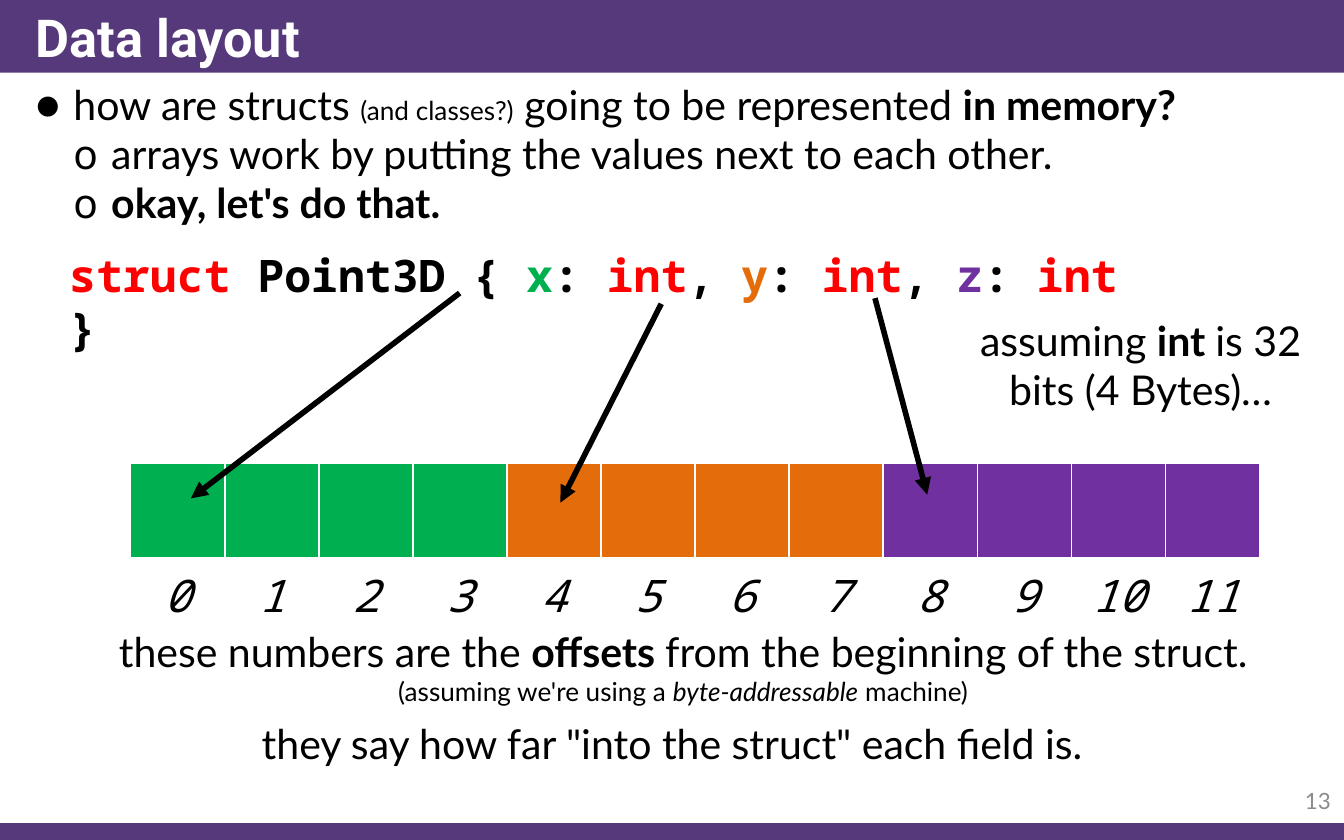
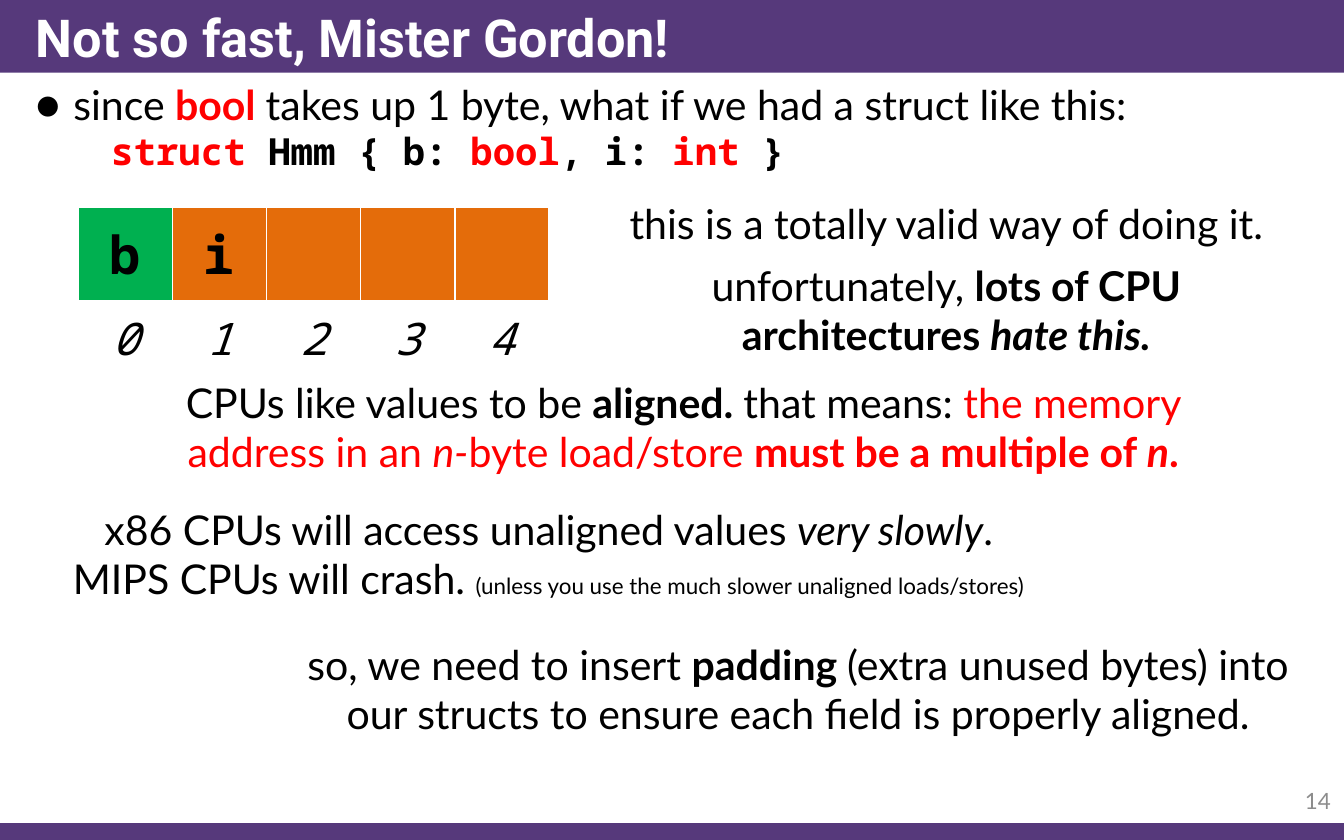
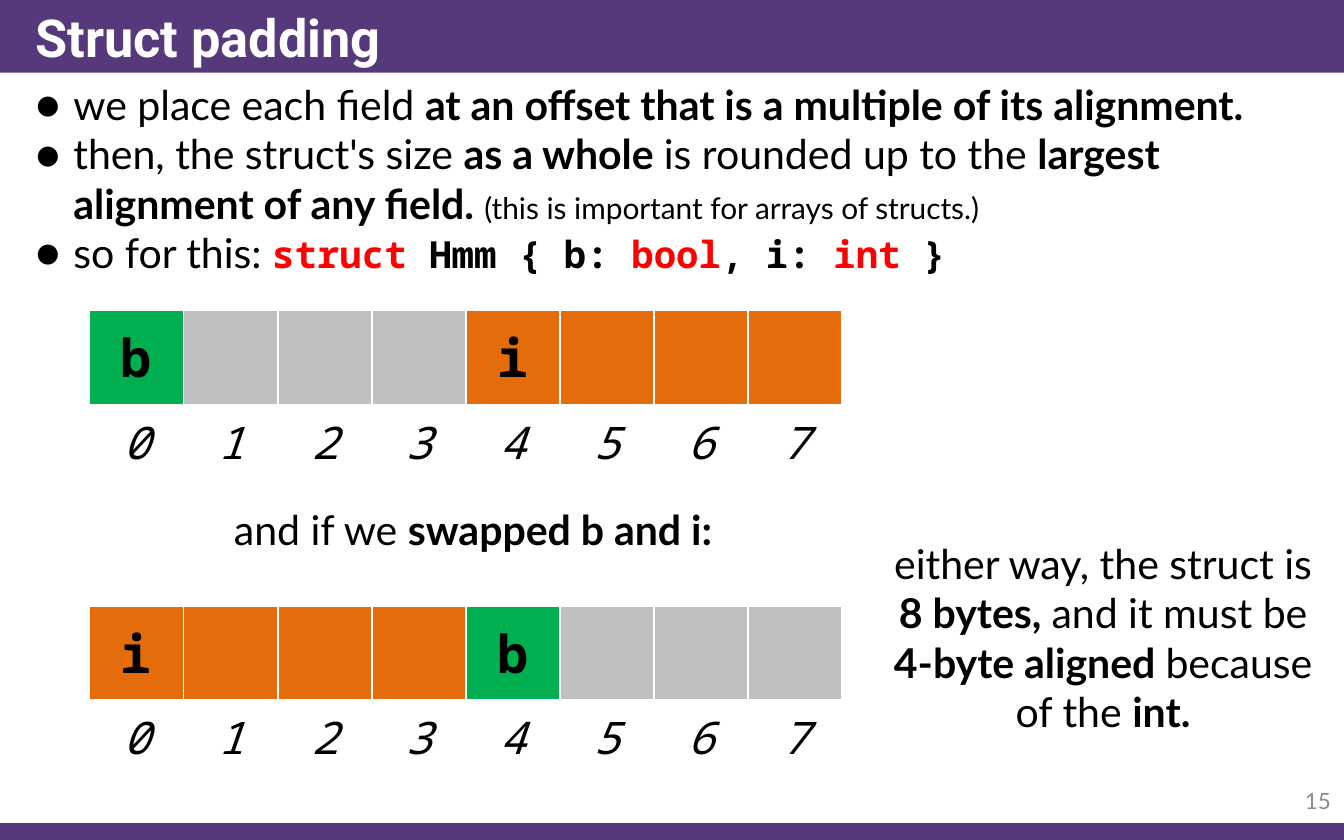
from dataclasses import dataclass

from lxml import etree
from pptx import Presentation
from pptx import util as u
from pptx.dml import color as dml
from pptx.enum import shapes, text
from pptx.oxml import ns


@dataclass(frozen=True)
class Theme:
    band: str = "56397B"
    black: str = "000000"
    white: str = "FFFFFF"
    red: str = "FF0000"
    green: str = "00B050"
    orange: str = "E46C0A"
    purple: str = "7030A0"
    padding: str = "BFBFBF"
    page_number: str = "8C8C8C"
    body_font: str = "Lato"
    code_font: str = "Noto Sans Mono"
    title_font: str = "Roboto"
    title_size: int = 28
    body_size: int = 22
    code_size: int = 20
    large_code_size: int = 24
    aside_size: int = 14
    number_size: int = 12


THEME = Theme()
WIDTH, HEIGHT = 720, 450
TITLE_BAND, FOOT_BAND = 39, 9
BYTE_SIZE, OFFSET_HEIGHT = 50.4, 36
INDENT = 20.25

# Span formats
BOLD = dict(bold=True)
ITALIC = dict(italic=True)
BOLD_ITALIC = dict(bold=True, italic=True)
RED = dict(color=THEME.red)
ASIDE = dict(size=THEME.aside_size)
CODE = dict(font=THEME.code_font, size=THEME.code_size, bold=True)
KEYWORD = dict(CODE, color=THEME.red)
LARGE_CODE = dict(CODE, size=THEME.large_code_size)
LARGE_KEYWORD = dict(LARGE_CODE, color=THEME.red)


def field(name, color):
    return [(name, dict(LARGE_CODE, color=color)), (": ", LARGE_CODE), ("int", LARGE_KEYWORD)]


HMM_STRUCT = [
    ("struct", KEYWORD), (" Hmm { b: ", CODE), ("bool", KEYWORD),
    (", i: ", CODE), ("int", KEYWORD), (" }", CODE),
]
POINT_STRUCT = [
    ("struct", LARGE_KEYWORD), (" Point3D { ", LARGE_CODE),
    *field("x", THEME.green), (", ", LARGE_CODE),
    *field("y", THEME.orange), (", ", LARGE_CODE),
    *field("z", THEME.purple), (" }", LARGE_CODE),
]

# Body paragraphs are (kind, spans); notes are (left, top, width, height, align, spans);
# byte strips are (left, top, fields), each field being (label, colour, byte count)
SLIDES = [
    dict(
        number=13, title="Data layout", body_height=94,
        body=[
            ("bullet", ["how are structs ", ("(and classes?)", ASIDE),
                        " going to be represented ", ("in memory?", BOLD)]),
            ("sub", ["arrays work by putting the values next to each other."]),
            ("sub", [("okay, let's do that.", BOLD)]),
        ],
        strips=[(70, 248.4, [("", THEME.green, 4), ("", THEME.orange, 4), ("", THEME.purple, 4)])],
        notes=[
            (30, 129, 588, 36, "left", POINT_STRUCT),
            (517.5, 165.5, 187, 60.5, "center",
             ["assuming ", ("int ", BOLD), "is 32 bits (4 Bytes)…"]),
            (48, 332, 636, 51, "center",
             ["these numbers are the ", ("offsets ", BOLD), "from the beginning of the struct. ",
              ("(assuming we're using a ", ASIDE), ("byte-addressable", dict(ASIDE, italic=True)),
              (" machine)", ASIDE)]),
            (42, 381.5, 636, 34, "center", ["they say how far \"into the struct\" each field is."]),
        ],
        arrows=[(246.25, 157, 102.25, 267), (354.25, 162.75, 300.25, 269.25),
                (468.75, 159.75, 496.75, 265)],
    ),
    dict(
        number=14, title="Not so fast, Mister Gordon!", body_height=72,
        body=[
            ("bullet", ["since ", ("bool ", dict(BOLD, **RED)),
                        "takes up 1 byte, what if we had a struct like this:"]),
            ("code", HMM_STRUCT),
        ],
        strips=[(42, 111, [("b", THEME.green, 1), ("i", THEME.orange, 4)])],
        notes=[
            (309, 103, 396, 34, "center", ["this is a totally valid way of doing it."]),
            (360, 136, 294, 60.5, "center",
             ["unfortunately, ", ("lots of CPU architectures ", BOLD), ("hate this.", BOLD_ITALIC)]),
            (74, 198.75, 584, 60.5, "center",
             ["CPUs like values to be ", ("aligned. ", BOLD), "that means: ",
              ("the memory address in an ", RED), ("n-", dict(ITALIC, **RED)),
              ("byte load/store ", RED), ("must be a multiple of ", dict(BOLD, **RED)),
              ("n", dict(BOLD_ITALIC, **RED)), (".", dict(BOLD, **RED))]),
            (24, 266.5, 540, 60.5, "center",
             ["x86 CPUs will access unaligned values ", ("very slowly", ITALIC),
              ". MIPS CPUs will crash. ",
              ("(unless you use the much slower unaligned loads/stores)", dict(size=12))]),
            (150, 339, 555, 60.5, "center",
             ["so, we need to insert ", ("padding ", BOLD),
              "(extra unused bytes) into our structs to ensure each field is properly aligned."]),
        ],
        arrows=[],
    ),
    dict(
        number=15, title="Struct padding", body_height=126,
        body=[
            ("bullet", ["we place each field ",
                        ("at an offset that is a multiple of its alignment.", BOLD)]),
            ("bullet", ["then, the struct's size ", ("as a whole ", BOLD),
                        "is rounded up to the ", ("largest alignment of any field. ", BOLD),
                        ("(this is important for arrays of structs.)", dict(size=16))]),
            ("bullet", ["so for this: ", *HMM_STRUCT]),
        ],
        strips=[
            (48, 166.25, [("b", THEME.green, 1), ("", THEME.padding, 3), ("i", THEME.orange, 4)]),
            (48, 324.75, [("i", THEME.orange, 4), ("b", THEME.green, 1), ("", THEME.padding, 3)]),
        ],
        notes=[
            (55.5, 266.5, 396, 34, "center", ["and if we ", ("swapped b and i:", BOLD)]),
            (468, 285, 246, 114, "center",
             ["either way, the struct is ", ("8 bytes, ", BOLD), "and it must be ",
              ("4-byte aligned ", BOLD), "because of the ", ("int.", BOLD)]),
        ],
        arrows=[],
    ),
]

# Paragraph kinds: left margin, first-line indent, bullet font, bullet
KINDS = {
    "bullet": (INDENT, -INDENT, THEME.body_font, "●"),
    "sub": (2 * INDENT, -INDENT, THEME.code_font, "o"),
    "code": (2 * INDENT, 0, None, None),
}
ALIGN = {"left": text.PP_ALIGN.LEFT, "center": text.PP_ALIGN.CENTER, "right": text.PP_ALIGN.RIGHT}


def points(*lengths):
    return [u.Pt(length) for length in lengths]


def rgb(color):
    return dml.RGBColor.from_string(color)


def add_element(parent, tag, **attributes):
    return etree.SubElement(parent, ns.qn(tag), attributes)


def add_span(para, words, font=THEME.body_font, size=THEME.body_size, color=THEME.black,
             bold=False, italic=False):
    span = para.add_run()
    span.text = words
    span.font.name, span.font.size = font, u.Pt(size)
    span.font.bold, span.font.italic = bold, italic
    span.font.color.rgb = rgb(color)


def fill_paragraph(para, spans, align="left"):
    para.alignment = ALIGN[align]
    for span in spans:
        words, style = (span, {}) if isinstance(span, str) else span
        add_span(para, words, **style)


def add_box(page, left, top, width, height, middle=False, grow=False):
    frame = page.shapes.add_textbox(*points(left, top, width, height)).text_frame
    frame.word_wrap = True
    if middle:
        frame.vertical_anchor = text.MSO_ANCHOR.MIDDLE
    if grow:
        frame.auto_size = text.MSO_AUTO_SIZE.SHAPE_TO_FIT_TEXT
    return frame


def add_band(page, top, height):
    band = page.shapes.add_shape(shapes.MSO_SHAPE.RECTANGLE, *points(0, top, WIDTH, height))
    band.shadow.inherit = False
    band.fill.solid()
    band.fill.fore_color.rgb = rgb(THEME.band)
    band.line.fill.background()


def add_frame(page, title, number):
    add_band(page, HEIGHT - FOOT_BAND, FOOT_BAND)
    add_band(page, 0, TITLE_BAND)
    box = add_box(page, 12, 0, WIDTH - 12, TITLE_BAND, middle=True)
    title_style = dict(font=THEME.title_font, size=THEME.title_size, color=THEME.white, bold=True)
    fill_paragraph(box.paragraphs[0], [(title, title_style)])
    box = add_box(page, 666, 417, 54, 24, middle=True)
    number_style = dict(size=THEME.number_size, color=THEME.page_number)
    fill_paragraph(box.paragraphs[0], [(str(number), number_style)], align="right")


def add_body(page, paragraphs, height):
    box = add_box(page, 12, TITLE_BAND, WIDTH - 12, height)
    for index, (kind, spans) in enumerate(paragraphs):
        para = box.add_paragraph() if index else box.paragraphs[0]
        margin, indent, font, bullet = KINDS[kind]
        properties = para._p.get_or_add_pPr()
        properties.set("marL", str(u.Pt(margin)))
        properties.set("indent", str(u.Pt(indent)))
        if bullet:
            add_element(properties, "a:buFont", typeface=font)
            add_element(properties, "a:buChar", char=bullet)
        fill_paragraph(para, spans)


def add_row(page, left, top, height, cells, middle=False, **style):
    """Draw a one-row table of (label, fill) cells with white borders."""
    size = points(left, top, BYTE_SIZE * len(cells), height)
    table = page.shapes.add_table(1, len(cells), *size).table
    table.first_row = table.horz_banding = False
    for column, (label, fill) in enumerate(cells):
        table.columns[column].width = u.Pt(BYTE_SIZE)
        cell = table.cell(0, column)
        properties = cell._tc.get_or_add_tcPr()
        for side in "LRTB":
            border = add_element(properties, f"a:ln{side}", w=str(u.Pt(1)))
            add_element(add_element(border, "a:solidFill"), "a:srgbClr", val=THEME.white)
        if fill:
            cell.fill.solid()
            cell.fill.fore_color.rgb = rgb(fill)
        else:
            cell.fill.background()
        if middle:
            cell.vertical_anchor = text.MSO_ANCHOR.MIDDLE
        if label:
            fill_paragraph(cell.text_frame.paragraphs[0], [(label, style)], align="center")


def add_strip(page, left, top, fields):
    # Only the first byte of a field carries its label
    cells = [(label if byte == 0 else "", color)
             for label, color, count in fields for byte in range(count)]
    offsets = [(str(offset), None) for offset in range(len(cells))]
    add_row(page, left, top, BYTE_SIZE, cells, middle=True,
            font=THEME.code_font, size=THEME.title_size, bold=True)
    add_row(page, left, top + BYTE_SIZE, OFFSET_HEIGHT, offsets,
            font=THEME.code_font, size=THEME.large_code_size, italic=True)


def add_arrow(page, *ends):
    arrow = page.shapes.add_connector(shapes.MSO_CONNECTOR.STRAIGHT, *points(*ends))
    arrow.line.width = u.Pt(3)
    arrow.line.color.rgb = rgb(THEME.black)
    add_element(arrow.line._get_or_add_ln(), "a:tailEnd", type="triangle")
    add_element(arrow._element.spPr, "a:effectLst")


def main():
    deck = Presentation()
    deck.slide_width, deck.slide_height = points(WIDTH, HEIGHT)
    for content in SLIDES:
        page = deck.slides.add_slide(deck.slide_layouts[6])
        add_frame(page, content["title"], content["number"])
        add_body(page, content["body"], content["body_height"])
        for strip in content["strips"]:
            add_strip(page, *strip)
        for *place, align, spans in content["notes"]:
            box = add_box(page, *place, grow=True)
            fill_paragraph(box.paragraphs[0], spans, align=align)
        for ends in content["arrows"]:
            add_arrow(page, *ends)
    deck.save("out.pptx")


if __name__ == "__main__":
    main()
